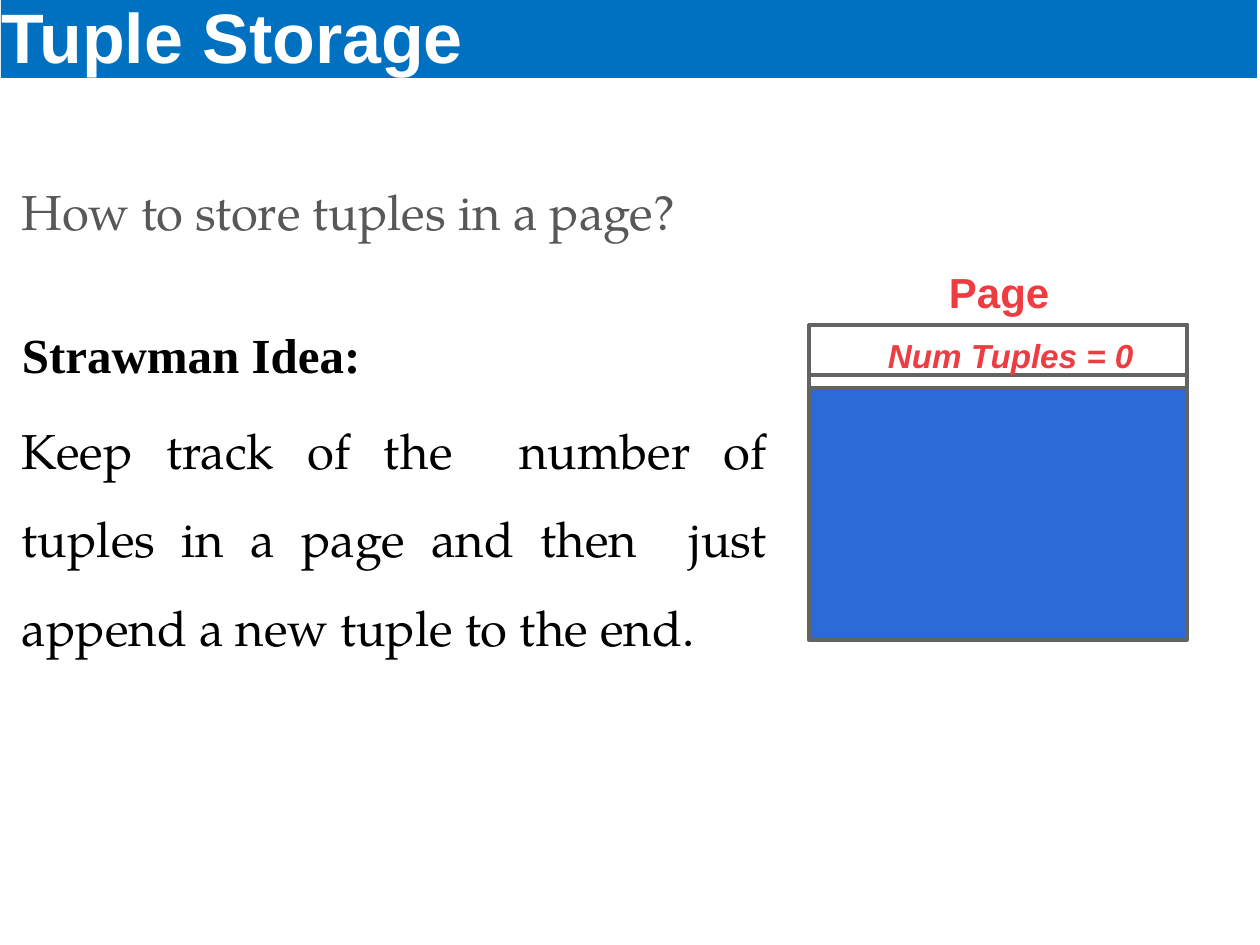
from pptx import Presentation
from pptx.dml.color import RGBColor
from pptx.enum.shapes import MSO_SHAPE
from pptx.enum.text import MSO_ANCHOR, MSO_AUTO_SIZE, PP_ALIGN
from pptx.util import Pt

PX = 914400 // 126
COLORS = {
    "title_bar": "0070C0", "white": "FFFFFF", "black": "000000", "gray": "585858",
    "red": "EE3D42", "free_space": "2C6BD7", "border": "636363",
}

# Paragraph: text, font, size, color, bold, italic, space before, line spacing, alignment
TITLE = [("Tuple Storage", "Arial", 40, "white", True, False, 0.9, None, None)]
QUESTION = [("How to store tuples in a page?", "TeX Gyre Pagella", 28, "gray",
             False, False, 1, None, None)]
IDEA = [
    ("Strawman Idea:", "Times New Roman", 28, "black", True, False,
     3.8, 0.91, PP_ALIGN.JUSTIFY),
    ("Keep track of the  number of tuples in a page and then  just append "
     "a new tuple to the end.", "TeX Gyre Pagella", 28, "black", False, False,
     3.8, 1.5, PP_ALIGN.JUSTIFY),
]
PAGE_LABEL = [("Page", "Arial", 24, "red", True, False, 1, None, None)]
TUPLE_COUNT = [("Num Tuples = 0", "Arial", 19, "red", True, True, 6, None, None)]

PAGE_LEFT, PAGE_TOP, PAGE_WIDTH = 809, 325, 378
PAGE_HEIGHT, HEADER_HEIGHT, COUNT_HEIGHT = 315, 63, 50


def rgb(name):
    return RGBColor.from_string(COLORS[name])


def add_rectangle(slide, box, fill=None, line=None):
    shape = slide.shapes.add_shape(MSO_SHAPE.RECTANGLE, *(n * PX for n in box))
    shape.shadow.inherit = False
    if fill:
        shape.fill.solid()
        shape.fill.fore_color.rgb = rgb(fill)
    else:
        shape.fill.background()
    if line:
        shape.line.color.rgb = rgb(line)
        shape.line.width = Pt(2)
    else:
        shape.line.fill.background()
    return shape


def write(shape, paragraphs, left=1, top=1, anchor=MSO_ANCHOR.TOP):
    """Fill a shape with styled paragraphs; left and top are insets in px."""
    frame = shape.text_frame
    frame.word_wrap = True
    frame.auto_size = MSO_AUTO_SIZE.SHAPE_TO_FIT_TEXT
    frame.vertical_anchor = anchor
    frame.margin_left, frame.margin_top = left * PX, top * PX
    frame.margin_right = frame.margin_bottom = 0
    for index, (text, font, size, color, bold, italic, before, spacing, align) in enumerate(paragraphs):
        paragraph = frame.add_paragraph() if index else frame.paragraphs[0]
        paragraph.text = text
        paragraph.alignment = align or PP_ALIGN.LEFT
        paragraph.space_before = Pt(before)
        paragraph.line_spacing = spacing
        paragraph.font.name = font
        paragraph.font.size = Pt(size)
        paragraph.font.bold = bold
        paragraph.font.italic = italic
        paragraph.font.color.rgb = rgb(color)


def add_text(slide, box, paragraphs, top=1):
    write(slide.shapes.add_textbox(*(n * PX for n in box)), paragraphs, top=top)


def add_page(slide):
    def band(top, height, fill=None, line=None):
        return add_rectangle(slide, (PAGE_LEFT, top, PAGE_WIDTH, height), fill, line)

    band(PAGE_TOP + HEADER_HEIGHT, PAGE_HEIGHT - HEADER_HEIGHT, fill="free_space")
    band(PAGE_TOP, PAGE_HEIGHT, line="border")
    add_text(slide, (948, 266, 134, 53), PAGE_LABEL)
    band(PAGE_TOP, HEADER_HEIGHT, "white", "border")
    write(band(PAGE_TOP, COUNT_HEIGHT, "white", "border"), TUPLE_COUNT, left=79, top=10)


def main():
    presentation = Presentation()
    presentation.slide_width, presentation.slide_height = 1260 * PX, 945 * PX
    slide = presentation.slides.add_slide(presentation.slide_layouts[6])
    title_bar = add_rectangle(slide, (1, -9, 1256, 87), "title_bar")
    write(title_bar, TITLE, anchor=MSO_ANCHOR.BOTTOM)
    add_text(slide, (21, 181, 693, 62), QUESTION)
    add_text(slide, (21, 325, 746, 326), IDEA, top=6)
    add_page(slide)
    presentation.save("out.pptx")


if __name__ == "__main__":
    main()
